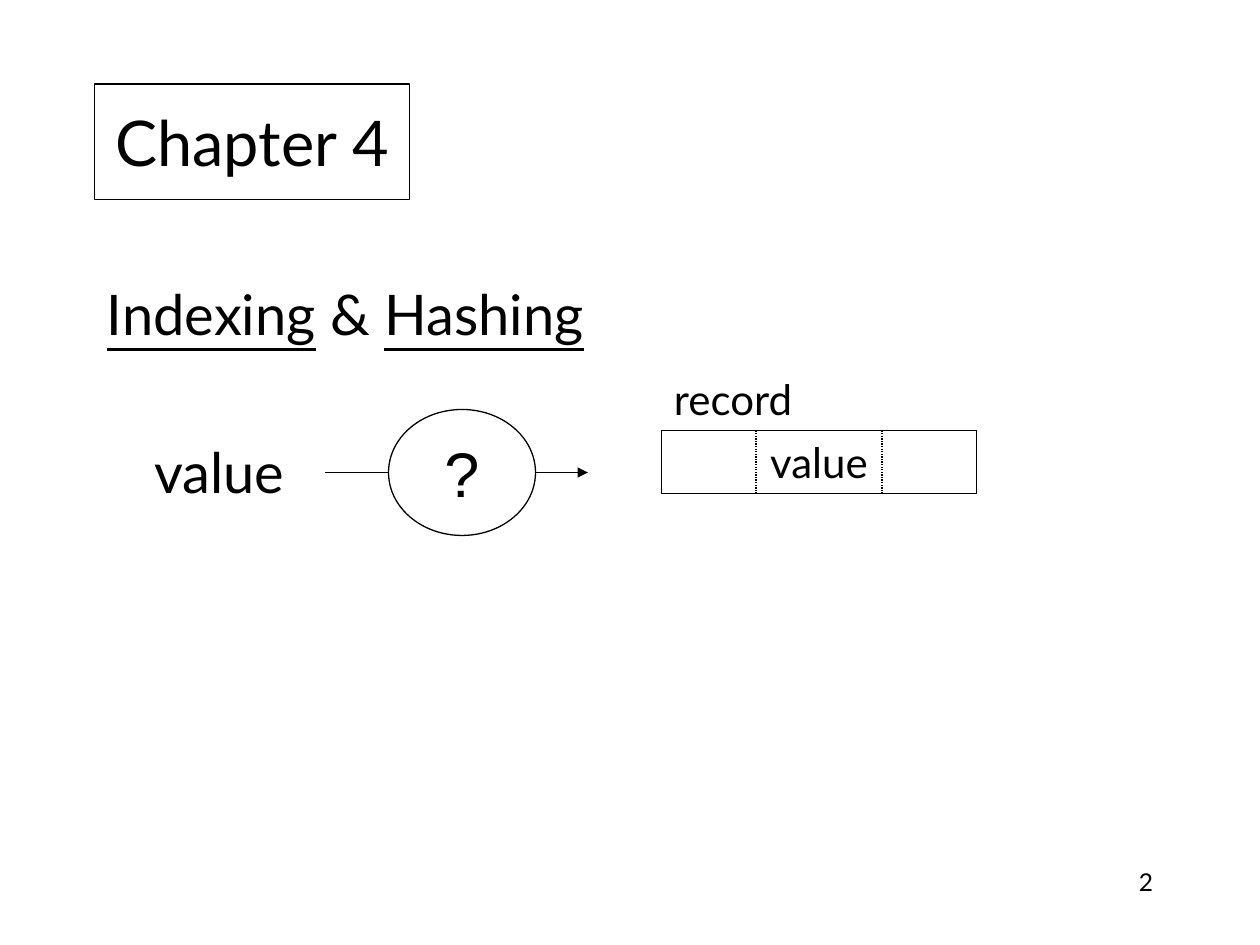
from dataclasses import dataclass

from lxml import etree
from pptx import Presentation
from pptx import util as u
from pptx.dml.color import RGBColor
from pptx.enum import dml, shapes, text
from pptx.oxml.ns import qn

EMU_PER_PX = 9525  # 96 px to the inch
LEFT, CENTER, RIGHT = text.PP_ALIGN.LEFT, text.PP_ALIGN.CENTER, text.PP_ALIGN.RIGHT
TOP, MIDDLE = text.MSO_ANCHOR.TOP, text.MSO_ANCHOR.MIDDLE


def px(n):
    return u.Emu(n * EMU_PER_PX)


@dataclass(frozen=True)
class Theme:
    ink: RGBColor = RGBColor(0, 0, 0)
    paper: RGBColor = RGBColor(255, 255, 255)
    font: str = "Lato"
    symbol_font: str = "Arial"
    chapter: int = 36
    body: int = 32
    label: int = 24
    page: int = 14
    line: float = 0.75


class SlideBuilder:
    def __init__(self, slide, theme):
        self.s = slide
        self.t = theme

    def add_run(self, p, words, size, font=None, underline=False):
        r = p.add_run()
        r.text = words
        r.font.name = font or self.t.font
        r.font.size = u.Pt(size)
        r.font.color.rgb = self.t.ink
        r.font.underline = underline

    def first_paragraph(self, sp, align, anchor, wrap):
        tf = sp.text_frame
        tf.word_wrap = wrap
        tf.vertical_anchor = anchor
        p = tf.paragraphs[0]
        p.alignment = align
        return p

    def text_box(self, box, align=LEFT, anchor=TOP, wrap=True):
        """Add an empty text box and return its first paragraph."""
        sp = self.s.shapes.add_textbox(*map(px, box))
        return self.first_paragraph(sp, align, anchor, wrap)

    def outlined(self, kind, box, words, size, font=None):
        """Add a shape with a thin outline and a centred caption."""
        sp = self.s.shapes.add_shape(kind, *map(px, box))
        sp.shadow.inherit = False
        sp.fill.solid()
        sp.fill.fore_color.rgb = self.t.paper
        sp.line.color.rgb = self.t.ink
        sp.line.width = u.Pt(self.t.line)
        p = self.first_paragraph(sp, CENTER, MIDDLE, False)
        self.add_run(p, words, size, font)

    def line(self, x1, y1, x2, y2, arrow=False, dotted=False):
        c = self.s.shapes.add_connector(
            shapes.MSO_CONNECTOR.STRAIGHT, px(x1), px(y1), px(x2), px(y2))
        c.line.color.rgb = self.t.ink
        c.line.width = u.Pt(self.t.line)
        if dotted:
            c.line.dash_style = dml.MSO_LINE.ROUND_DOT
        if arrow:
            etree.SubElement(c.line._get_or_add_ln(), qn("a:tailEnd"), type="triangle")
        etree.SubElement(c._element.spPr, qn("a:effectLst"))


def main():
    prs = Presentation()
    prs.slide_width, prs.slide_height = px(960), px(720)
    t = Theme()
    b = SlideBuilder(prs.slides.add_slide(prs.slide_layouts[6]), t)
    rect, oval = shapes.MSO_SHAPE.RECTANGLE, shapes.MSO_SHAPE.OVAL

    b.add_run(b.text_box((688, 656, 200, 48), RIGHT), "2", t.page)

    topic = b.text_box((72, 208, 816, 432))
    for words, underline in (("Indexing", True), (" & ", False), ("Hashing", True)):
        b.add_run(topic, words, t.body, underline=underline)
    value = b.s.shapes[-1].text_frame.add_paragraph()
    value.space_before = u.Pt(52)
    value._p.get_or_add_pPr().set("marL", str(px(36)))
    b.add_run(value, "value", t.body)

    b.outlined(rect, (72, 64, 240, 88), "Chapter 4", t.chapter)

    # Lookup: value -> ? -> record
    x, y, w, h = 296, 312, 112, 96
    mid = y + h // 2
    b.outlined(oval, (x, y, w, h), "?", t.chapter, t.symbol_font)
    b.line(x - 48, mid, x, mid)
    b.line(x + w, mid, x + w + 40, mid, arrow=True)

    # Record with its fields
    x, y, w, h = 504, 328, 240, 48
    b.outlined(rect, (x, y, w, h), "value", t.label)
    b.add_run(b.text_box((x, y - h, 109, h), CENTER, MIDDLE, False), "record", t.label)
    for divider in (x + 72, x + w - 72):
        b.line(divider, y, divider, y + h, dotted=True)

    prs.save("out.pptx")


if __name__ == "__main__":
    main()
